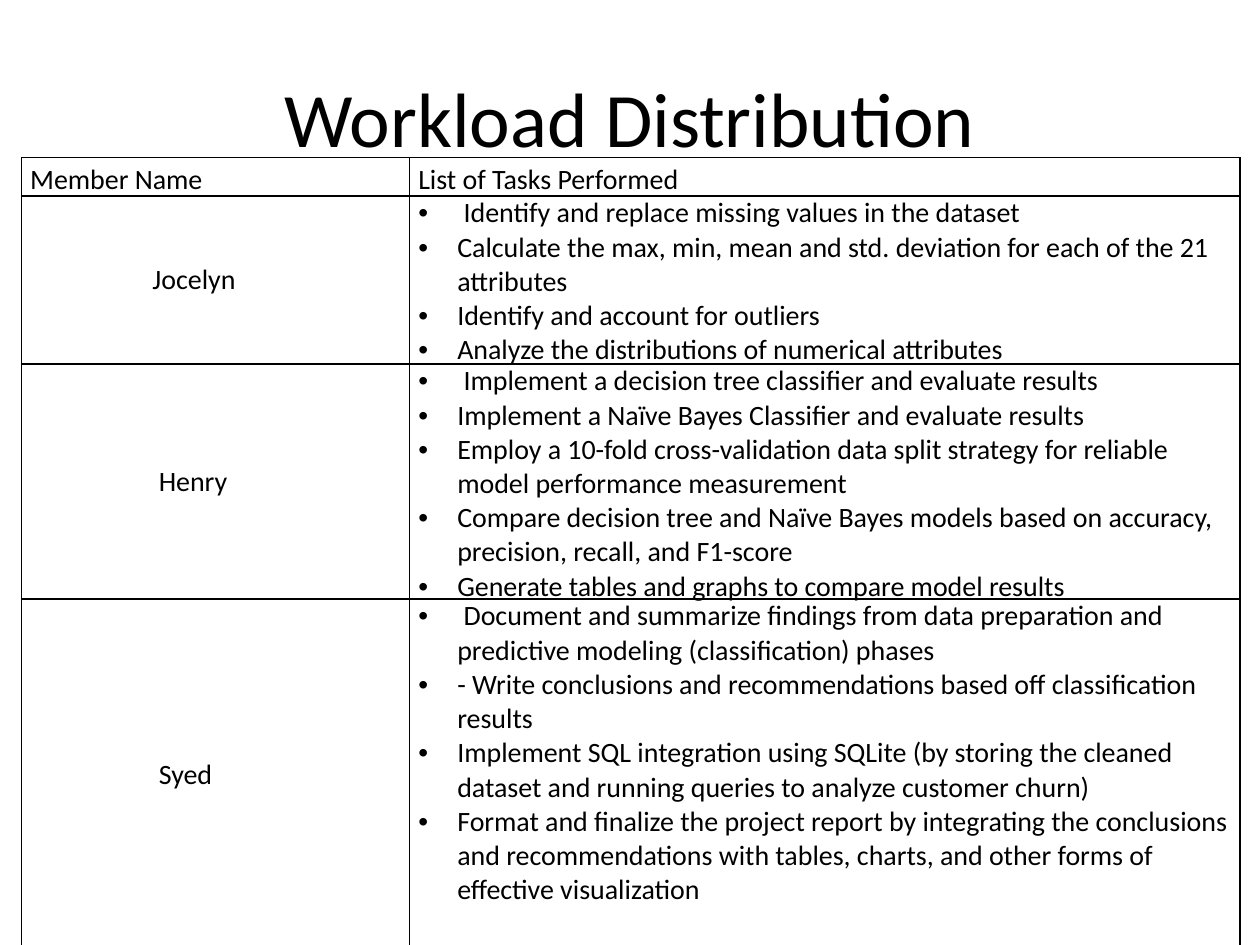
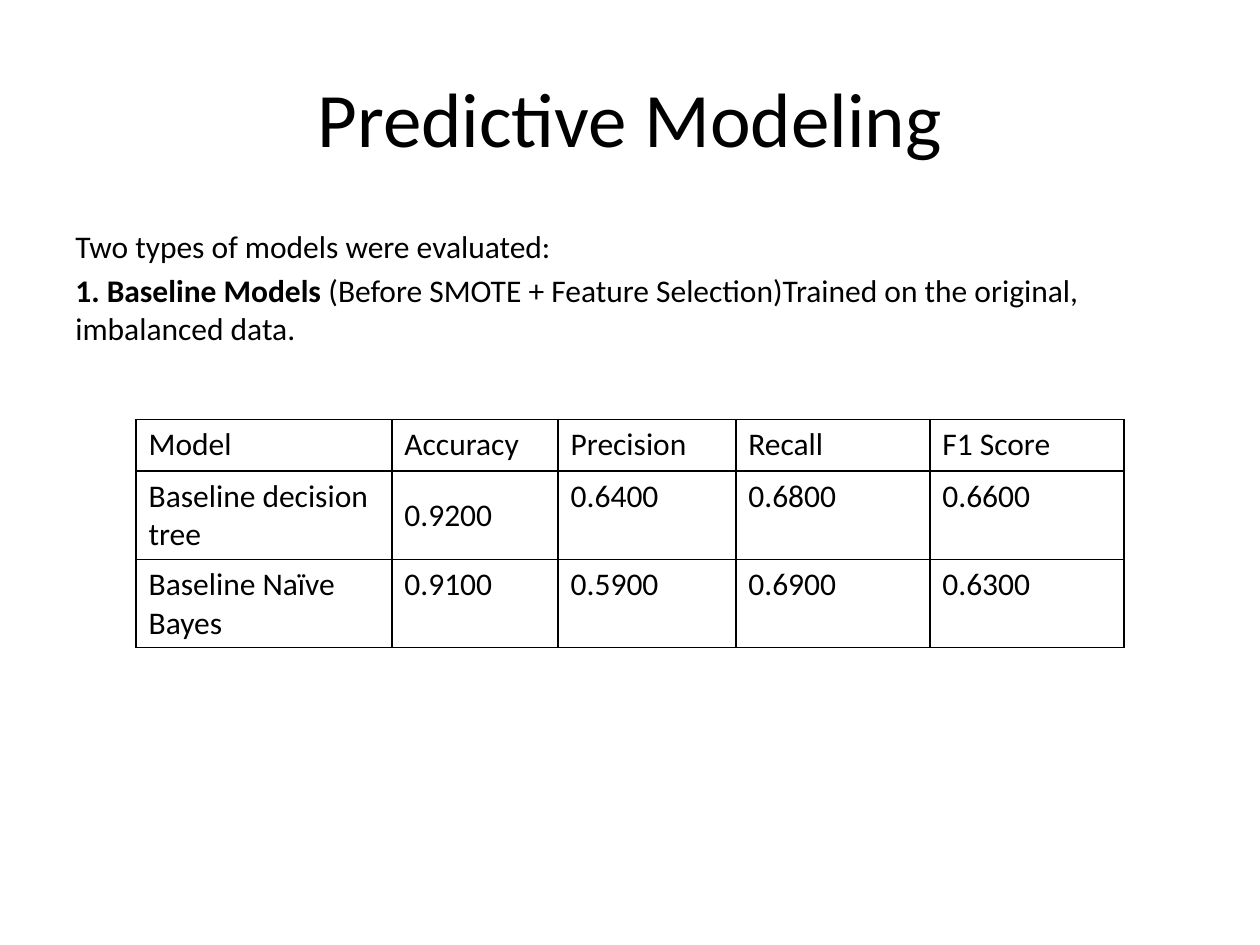
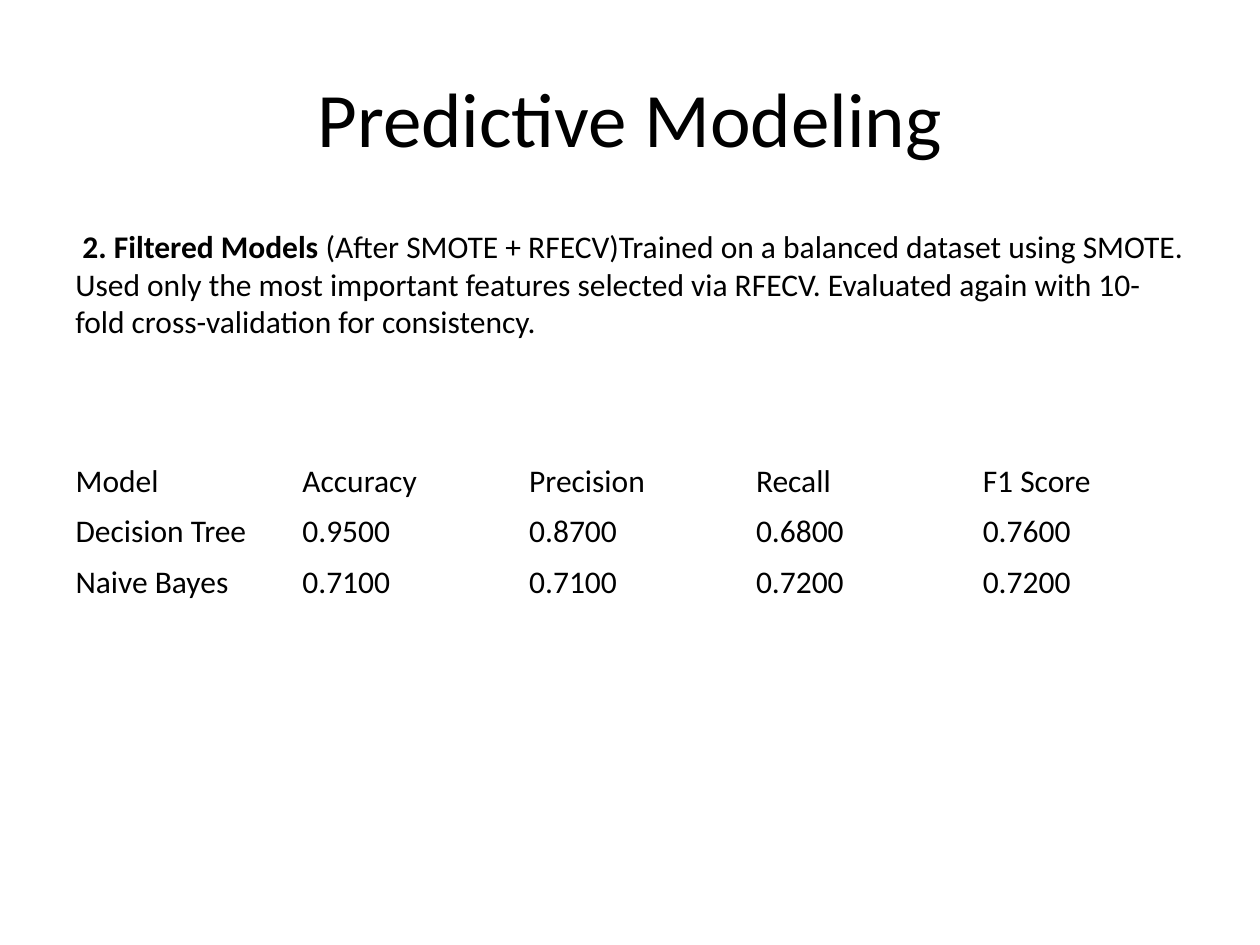
from lxml.etree import SubElement
from pptx import Presentation
from pptx.dml.color import RGBColor
from pptx.enum.text import MSO_ANCHOR, PP_ALIGN
from pptx.oxml.ns import qn
from pptx.util import Inches, Pt

BLACK = RGBColor(0x00, 0x00, 0x00)
WHITE = RGBColor(0xFF, 0xFF, 0xFF)
FONT = "Calibri"
TITLE_SIZE, BODY_SIZE, TASK_SIZE = 44, 18, 16
TITLE_BOX = (0.5, 0.3, 9, 1.25)
BODY_BOX = (0.5, 1.75, 9, 4.95)
BULLET_INDENT = Inches(0.31)

TASKS = {
    "Jocelyn \t": [
        " Identify and replace missing values in the dataset",
        "Calculate the max, min, mean and std. deviation for each of the 21 attributes",
        "Identify and account for outliers",
        "Analyze the distributions of numerical attributes",
    ],
    " Henry \t": [
        " Implement a decision tree classifier and evaluate results",
        "Implement a Naïve Bayes Classifier and evaluate results",
        "Employ a 10-fold cross-validation data split strategy for reliable model "
        "performance measurement",
        "Compare decision tree and Naïve Bayes models based on accuracy, precision, "
        "recall, and F1-score",
        "Generate tables and graphs to compare model results",
    ],
    " Syed \t": [
        " Document and summarize findings from data preparation and predictive "
        "modeling (classification) phases",
        "- Write conclusions and recommendations based off classification results",
        "Implement SQL integration using SQLite (by storing the cleaned dataset and "
        "running queries to analyze customer churn)",
        "Format and finalize the project report by integrating the conclusions and "
        "recommendations with tables, charts, and other forms of effective visualization",
    ],
}
METRICS = ["Model", "Accuracy", "Precision", "Recall", "F1 Score"]
BASELINE_SCORES = [
    ["Baseline decision tree", "0.9200", "0.6400", "0.6800", "0.6600"],
    ["Baseline Naïve Bayes", "0.9100", "0.5900", "0.6900", "0.6300"],
]
FILTERED_SCORES = [
    ["Decision Tree", "0.9500", "0.8700", "0.6800", "0.7600"],
    ["Naive Bayes", "0.7100", "0.7100", "0.7200", "0.7200"],
]


def style(paragraph, size):
    """Give a paragraph the deck's font at the given size."""
    paragraph.font.name = FONT
    paragraph.font.size = Pt(size)
    paragraph.font.color.rgb = BLACK


def add_text_frame(slide, box):
    """Add a wrapping text box and return its frame."""
    frame = slide.shapes.add_textbox(*map(Inches, box)).text_frame
    frame.word_wrap = True
    return frame


def add_titled_slide(deck, title):
    """Add a white slide with a centred title."""
    slide = deck.slides.add_slide(deck.slide_layouts[6])
    slide.background.fill.solid()
    slide.background.fill.fore_color.rgb = WHITE
    frame = add_text_frame(slide, TITLE_BOX)
    frame.vertical_anchor = MSO_ANCHOR.MIDDLE
    heading = frame.paragraphs[0]
    heading.text = title
    heading.alignment = PP_ALIGN.CENTER
    style(heading, TITLE_SIZE)
    return slide


def add_body(slide, paragraphs):
    """Write paragraphs of (text, bold) runs in the body area."""
    frame = add_text_frame(slide, BODY_BOX)
    for index, runs in enumerate(paragraphs):
        paragraph = frame.add_paragraph() if index else frame.paragraphs[0]
        if index:
            paragraph.space_before = Pt(BODY_SIZE * 0.2)
        style(paragraph, BODY_SIZE)
        for text, bold in runs:
            run = paragraph.add_run()
            run.text = text
            run.font.bold = bold


def set_borders(cell, ruled):
    """Draw black one-point borders round a cell, or none."""
    properties = cell._tc.get_or_add_tcPr()
    for side in ("a:lnL", "a:lnR", "a:lnT", "a:lnB"):
        line = SubElement(properties, qn(side), w=str(Pt(1)))
        if ruled:
            fill = SubElement(line, qn("a:solidFill"))
            SubElement(fill, qn("a:srgbClr"), val=str(BLACK))
        else:
            SubElement(line, qn("a:noFill"))


def add_plain_table(slide, left, top, columns, rows, ruled):
    """Add an unfilled table with the given column widths and row heights."""
    table = slide.shapes.add_table(
        len(rows), len(columns), Inches(left), Inches(top),
        Inches(sum(columns)), Inches(sum(rows))).table
    table.first_row = table.horz_banding = False
    for column, width in zip(table.columns, columns):
        column.width = Inches(width)
    for row, height in zip(table.rows, rows):
        row.height = Inches(height)
    for cell in table.iter_cells():
        set_borders(cell, ruled)
        cell.fill.background()
    return table


def add_bullet(paragraph):
    """Give a paragraph a hanging bullet."""
    properties = paragraph._p.get_or_add_pPr()
    properties.set("marL", str(BULLET_INDENT))
    properties.set("indent", str(-BULLET_INDENT))
    SubElement(properties, qn("a:buFont"), typeface="Arial")
    SubElement(properties, qn("a:buChar"), char="•")


def add_task_table(slide, left, top):
    """List each member beside the tasks performed."""
    table = add_plain_table(slide, left, top, [3.08, 6.59], [0.27, 1.26, 1.76, 2.79], True)
    for cell in table.iter_cells():
        cell.margin_left = cell.margin_right = Inches(0.07)
        cell.margin_top = cell.margin_bottom = 0
    for column, heading in enumerate(["Member Name", "List of Tasks Performed"]):
        paragraph = table.cell(0, column).text_frame.paragraphs[0]
        paragraph.text = heading
        paragraph.line_spacing = 1.15
        style(paragraph, TASK_SIZE)
    for row, (member, tasks) in enumerate(TASKS.items(), start=1):
        member_cell = table.cell(row, 0)
        member_cell.vertical_anchor = MSO_ANCHOR.MIDDLE
        name = member_cell.text_frame.paragraphs[0]
        name.text = member
        name.alignment = PP_ALIGN.CENTER
        style(name, TASK_SIZE)
        task_frame = table.cell(row, 1).text_frame
        task_frame.text = "\n".join(tasks)
        for task in task_frame.paragraphs:
            add_bullet(task)
            style(task, TASK_SIZE)


def add_score_table(slide, left, top, columns, row_height, scores, ruled):
    """Tabulate model scores under the metric headings."""
    lines = [METRICS, *scores]
    table = add_plain_table(slide, left, top, columns, [row_height] * len(lines), ruled)
    for row, values in enumerate(lines):
        for column, value in enumerate(values):
            cell = table.cell(row, column)
            cell.text = value
            style(cell.text_frame.paragraphs[0], BODY_SIZE)
            if not ruled:
                cell.vertical_anchor = MSO_ANCHOR.MIDDLE
    return table


def add_workload_slide(deck):
    """Build the workload slide."""
    slide = add_titled_slide(deck, "Workload Distribution")
    add_task_table(slide, 0.17, 1.25)


def add_baseline_slide(deck):
    """Build the baseline models slide."""
    slide = add_titled_slide(deck, "Predictive Modeling")
    add_body(slide, [
        [("Two types of models were evaluated:", False)],
        [("1. Baseline Models ", True),
         ("(Before SMOTE + Feature Selection)Trained on the original, imbalanced data.",
          False)],
    ])
    table = add_score_table(slide, 1.08, 3.33, [2.03, 1.32, 1.41, 1.54, 1.54], 0.41,
                            BASELINE_SCORES, True)
    table.cell(1, 1).vertical_anchor = MSO_ANCHOR.MIDDLE


def add_filtered_slide(deck):
    """Build the filtered models slide."""
    slide = add_titled_slide(deck, "Predictive Modeling")
    add_body(slide, [
        [(" ", False),
         ("2. Filtered Models ", True),
         ("(After SMOTE + RFECV)Trained on a balanced dataset using SMOTE. Used only the "
          "most important features selected via RFECV. Evaluated again with 10-fold "
          "cross-validation for consistency.", False)],
    ])
    add_score_table(slide, 0.5, 3.62, [1.8] * 5, 0.4, FILTERED_SCORES, False)


def main():
    """Build and save the deck."""
    deck = Presentation()
    deck.slide_width, deck.slide_height = Inches(10), Inches(7.5)
    add_workload_slide(deck)
    add_baseline_slide(deck)
    add_filtered_slide(deck)
    deck.save("out.pptx")


if __name__ == "__main__":
    main()
